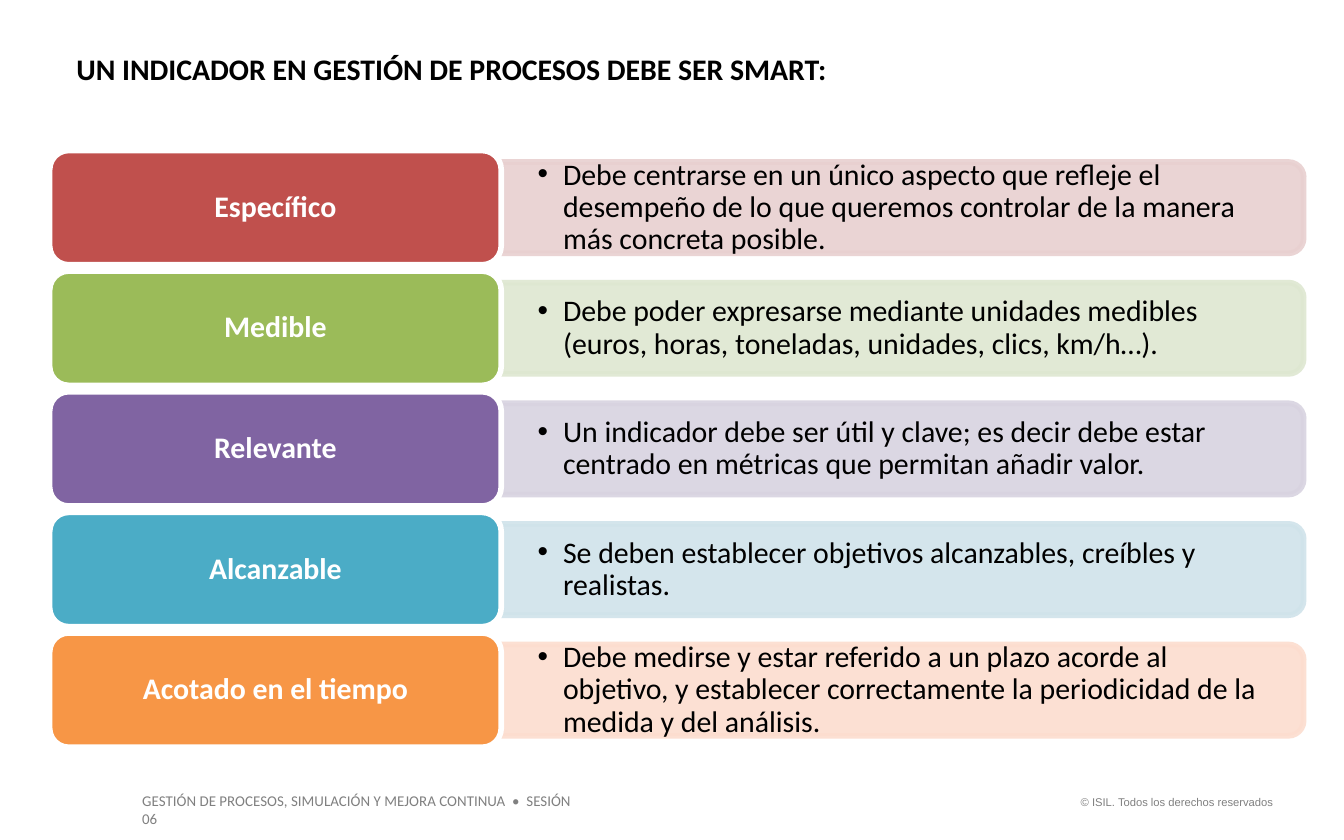
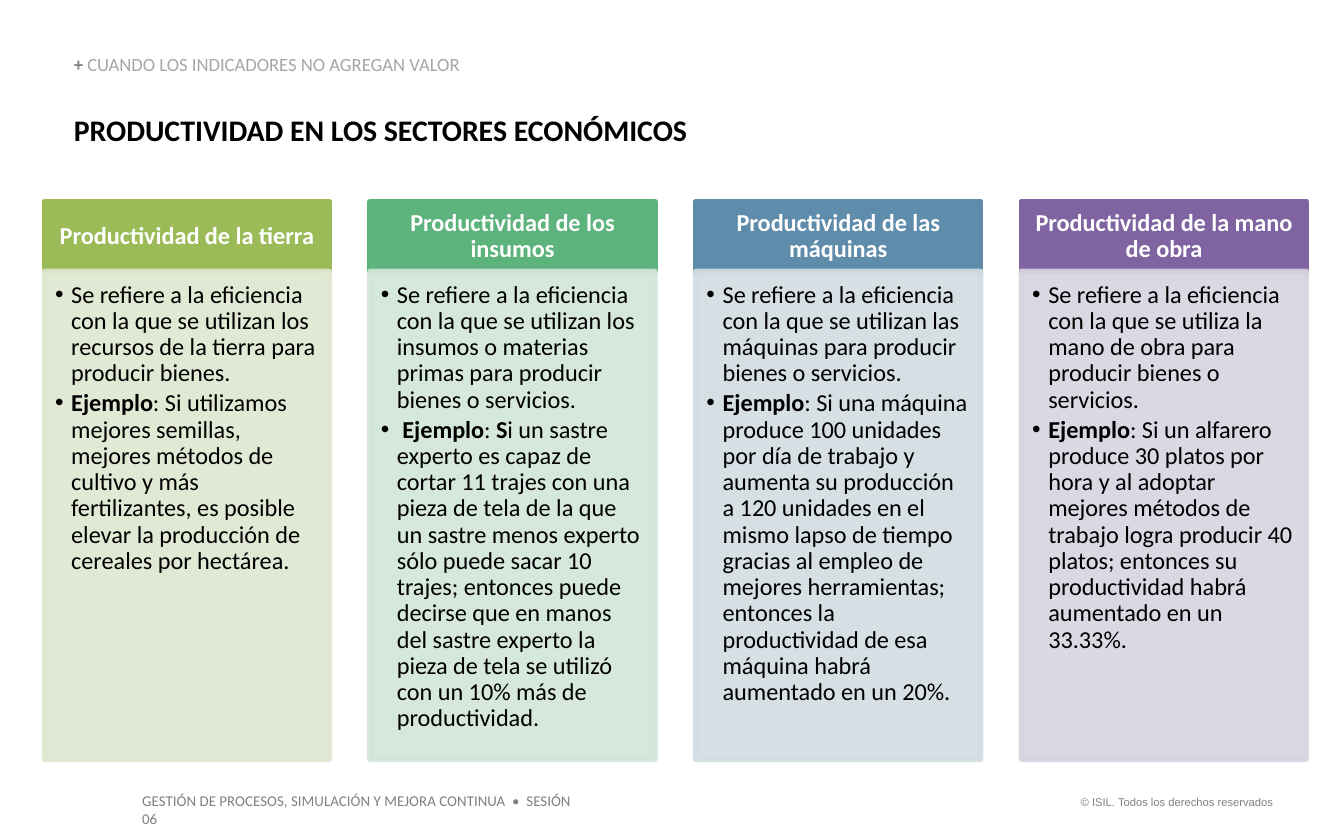
from lxml import etree
from pptx import Presentation
from pptx.dml.color import RGBColor
from pptx.enum.shapes import MSO_SHAPE
from pptx.enum.text import MSO_ANCHOR, PP_ALIGN
from pptx.oxml.ns import qn
from pptx.util import Inches, Pt

LEFT, CENTER, RIGHT = PP_ALIGN.LEFT, PP_ALIGN.CENTER, PP_ALIGN.RIGHT
TOP, MIDDLE, BOTTOM = MSO_ANCHOR.TOP, MSO_ANCHOR.MIDDLE, MSO_ANCHOR.BOTTOM
RECT, ROUNDED = MSO_SHAPE.RECTANGLE, MSO_SHAPE.ROUNDED_RECTANGLE
TOP_ROUNDED = MSO_SHAPE.ROUND_2_SAME_RECTANGLE

# Content
COPYRIGHT = "© ISIL. Todos los derechos reservados"
COURSE = "GESTIÓN DE PROCESOS, SIMULACIÓN Y MEJORA CONTINUA  •  SESIÓN 06"

SMART_TITLE = "UN INDICADOR EN GESTIÓN DE PROCESOS DEBE SER SMART:"
# Criterion, explanation, colour, tint
CRITERIA = [
    ("Específico",
     "Debe centrarse en un único aspecto que refleje el desempeño de lo que "
     "queremos controlar de la manera más concreta posible.",
     "C0504D", "E8D0D0"),
    ("Medible",
     "Debe poder expresarse mediante unidades medibles (euros, horas, "
     "toneladas, unidades, clics, km/h…).",
     "9BBB59", "DEE7D1"),
    ("Relevante",
     "Un indicador debe ser útil y clave; es decir debe estar centrado en "
     "métricas que permitan añadir valor.",
     "8064A2", "D8D3E0"),
    ("Alcanzable",
     "Se deben establecer objetivos alcanzables, creíbles y realistas.",
     "4BACC6", "D0E3EA"),
    ("Acotado en el tiempo",
     "Debe medirse y estar referido a un plazo acorde al objetivo, y "
     "establecer correctamente la periodicidad de la medida y del análisis.",
     "F79646", "FCDDCF"),
]

SECTORS_TITLE = "PRODUCTIVIDAD EN LOS SECTORES ECONÓMICOS"
SECTORS_TOPIC = "CUANDO LOS INDICADORES NO AGREGAN VALOR"
# Heading, definition, example as (text, bold) runs, colour, tint
SECTORS = [
    ("Productividad de la tierra",
     "Se refiere a la eficiencia con la que se utilizan los recursos de la "
     "tierra para producir bienes.",
     [("Ejemplo", True),
      (": Si utilizamos mejores semillas, mejores métodos de cultivo y más "
       "fertilizantes, es posible elevar la producción de cereales por "
       "hectárea.", False)],
     "9BBB59", "DEE7D1"),
    ("Productividad de los insumos",
     "Se refiere a la eficiencia con la que se utilizan los insumos o "
     "materias primas para producir bienes o servicios.",
     [(" Ejemplo", True), (":", False), (" S", True),
      ("i un sastre experto es capaz de cortar 11 trajes con una pieza de "
       "tela de la que un sastre menos experto sólo puede sacar 10 trajes; "
       "entonces puede decirse que en manos del sastre experto la pieza de "
       "tela se utilizó con un 10% más de productividad.", False)],
     "5CB37C", "D2E5D9"),
    ("Productividad de las máquinas",
     "Se refiere a la eficiencia con la que se utilizan las máquinas para "
     "producir bienes o servicios.",
     [("Ejemplo", True),
      (": Si una máquina produce 100 unidades por día de trabajo y aumenta su "
       "producción a 120 unidades en el mismo lapso de tiempo gracias al "
       "empleo de mejores herramientas; entonces la productividad de esa "
       "máquina habrá aumentado en un 20%.", False)],
     "608CAB", "D2DCE2"),
    ("Productividad de la mano de obra",
     "Se refiere a la eficiencia con la que se utiliza la mano de obra para "
     "producir bienes o servicios.",
     [("Ejemplo", True),
      (": Si un alfarero produce 30 platos por hora y al adoptar mejores "
       "métodos de trabajo logra producir 40 platos; entonces su "
       "productividad habrá aumentado en un 33.33%.", False)],
     "8064A2", "D8D3E0"),
]

# Shared text formats
BLACK, WHITE, GREY, LIGHT_GREY = "000000", "FFFFFF", "808080", "A6A6A6"
NO_INSET = (0, 0, 0, 0)
BOX_INSET = (0.1, 0.05, 0.1, 0.05)
TITLE = {"size": 16, "bold": True}
HEADING = {"bold": True, "color": WHITE, "align": CENTER, "anchor": MIDDLE,
           "spacing": 0.9, "after": 0.35}
BULLETS = {"spacing": 0.9, "after": 0.15}


def rgb(color):
    return RGBColor.from_string(color)


def set_all(target, values):
    for name, value in values.items():
        setattr(target, name, value)


def add_bullet(paragraph, indent):
    paragraph.level = 1
    properties = paragraph._p.get_or_add_pPr()
    properties.set("marL", str(Inches(indent)))
    properties.set("indent", str(-Inches(indent)))
    etree.SubElement(properties, qn("a:buFont")).set("typeface", "Arial")
    etree.SubElement(properties, qn("a:buChar")).set("char", "•")


def write(shape, paragraphs, size, color=BLACK, bold=False, font="Calibri",
          align=LEFT, anchor=TOP, inset=BOX_INSET, spacing=None, after=0,
          bullet=None):
    """Each paragraph is a string or a list of (text, bold[, color]) runs."""
    frame = shape.text_frame
    left, top, right, bottom = map(Inches, inset)
    set_all(frame, {"word_wrap": True, "vertical_anchor": anchor,
                    "margin_left": left, "margin_top": top,
                    "margin_right": right, "margin_bottom": bottom})
    for index, content in enumerate(paragraphs):
        paragraph = frame.add_paragraph() if index else frame.paragraphs[0]
        set_all(paragraph, {"alignment": align, "line_spacing": spacing,
                            "space_after": Pt(size * after)})
        if bullet:
            add_bullet(paragraph, bullet)
        runs = [(content, bold)] if isinstance(content, str) else content
        for text, run_bold, *run_color in runs:
            run = paragraph.add_run()
            run.text = text
            set_all(run.font, {"name": font, "size": Pt(size),
                               "bold": run_bold})
            run.font.color.rgb = rgb(run_color[0] if run_color else color)


def add_text(slide, at, paragraphs, **text_format):
    box = slide.shapes.add_textbox(*map(Inches, at))
    write(box, paragraphs, **text_format)


def add_panel(slide, kind, at, fill, line, opacity=None):
    panel = slide.shapes.add_shape(kind, *map(Inches, at))
    panel.shadow.inherit = False
    panel.fill.solid()
    panel.fill.fore_color.rgb = rgb(fill)
    panel.line.color.rgb = rgb(line)
    panel.line.width = Pt(3)
    if opacity:
        for color in panel._element.spPr.iter(qn("a:srgbClr")):
            etree.SubElement(color, qn("a:alpha")).set("val", str(opacity * 1000))
    return panel


def add_slide(deck):
    slide = deck.slides.add_slide(deck.slide_layouts[6])
    add_text(slide, (7.88, 5.87, 1.69, 0.2), [COPYRIGHT], size=6,
             font="Arial", color=GREY, align=RIGHT)
    add_text(slide, (0.96, 5.84, 3.53, 0.24), [COURSE], size=8, color=GREY)
    return slide


def spread(first, last, count):
    return [first + (last - first) * i / (count - 1) for i in range(count)]


def build_smart(deck):
    slide = add_slide(deck)
    add_text(slide, (0.47, 0.33, 5.86, 0.37), [SMART_TITLE], **TITLE)

    label_left, label_width, label_height = 0.37, 3.36, 0.85
    bar_left, bar_length, bar_height = label_left + label_width, 5.97, 0.68
    tops = spread(1.12, 4.71, len(CRITERIA))
    for top, (name, explanation, color, tint) in zip(tops, CRITERIA):
        # Bar turned a quarter so that its rounded corners face right
        middle = top + label_height / 2
        bar = add_panel(slide, TOP_ROUNDED,
                        (bar_left + (bar_length - bar_height) / 2,
                         middle - bar_length / 2, bar_height, bar_length),
                        tint, tint, opacity=90)
        bar.rotation = 90
        add_text(slide, (bar_left, middle - 0.31, 5.93, 0.62), [explanation],
                 size=16, anchor=MIDDLE, inset=(0.27, 0.14, 0.27, 0.14),
                 bullet=0.19, **BULLETS)
        # Criterion label
        label = add_panel(slide, ROUNDED,
                          (label_left, top, label_width, label_height),
                          color, WHITE)
        write(label, [name], size=16, inset=(0.07, 0.03, 0.07, 0.03), **HEADING)


def build_sectors(deck):
    slide = add_slide(deck)
    add_text(slide, (0.55, 0.83, 8.86, 0.27), [SECTORS_TITLE],
             inset=NO_INSET, **TITLE)
    add_text(slide, (0.55, 0.41, 3.03, 0.15),
             [[("+ ", True, GREY), (SECTORS_TOPIC, False, LIGHT_GREY)]],
             size=10, anchor=BOTTOM, inset=NO_INSET, spacing=0.9)

    top, width, heading_height, body_height = 1.5, 2.12, 0.52, 3.63
    lefts = spread(0.33, 7.6, len(SECTORS))
    for left, (name, definition, example, color, tint) in zip(lefts, SECTORS):
        heading = add_panel(slide, RECT, (left, top, width, heading_height),
                            color, color)
        write(heading, [name], size=13, inset=(0.1, 0.06, 0.1, 0.06), **HEADING)
        body = add_panel(slide, RECT,
                         (left, top + heading_height, width, body_height),
                         tint, tint, opacity=90)
        write(body, [definition, example], size=13,
              inset=(0.08, 0.08, 0.1, 0.11), bullet=0.12, **BULLETS)


def main():
    deck = Presentation()
    set_all(deck, {"slide_width": Inches(10), "slide_height": Inches(6.25)})
    build_smart(deck)
    build_sectors(deck)
    deck.save("out.pptx")


if __name__ == "__main__":
    main()
